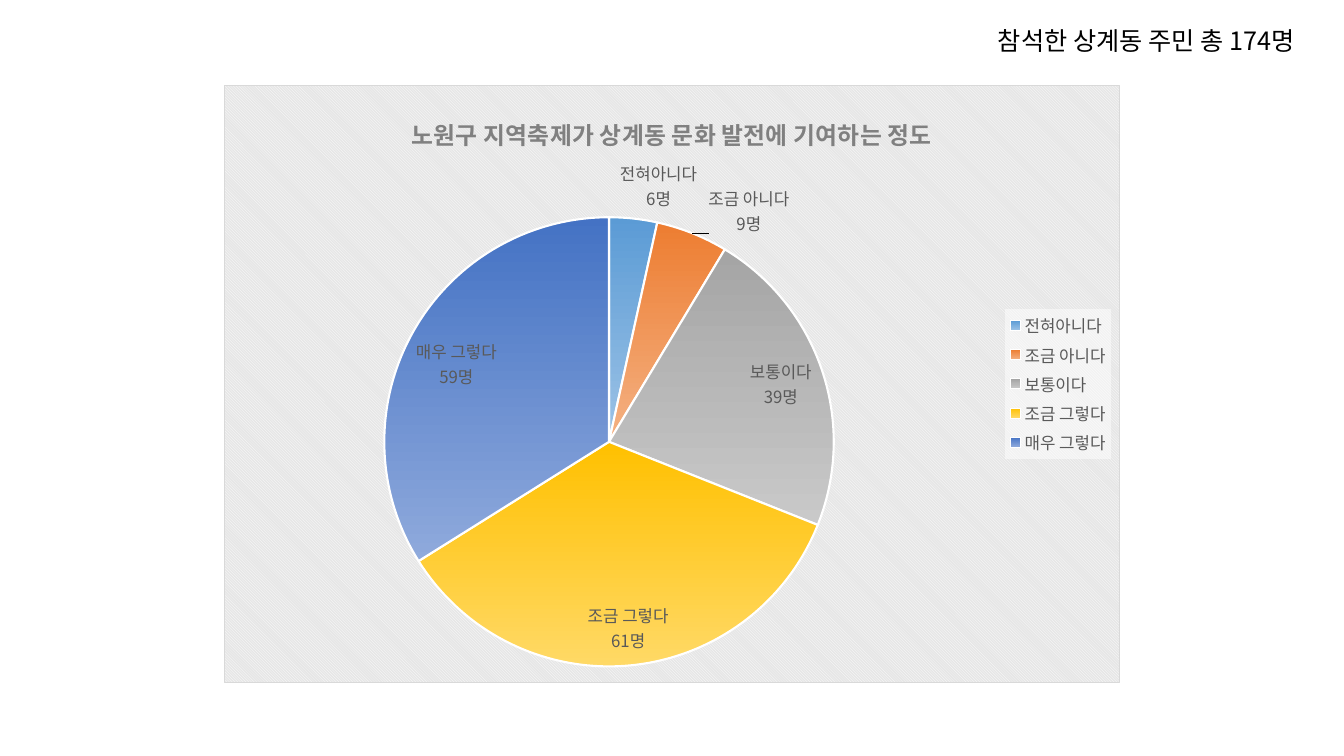
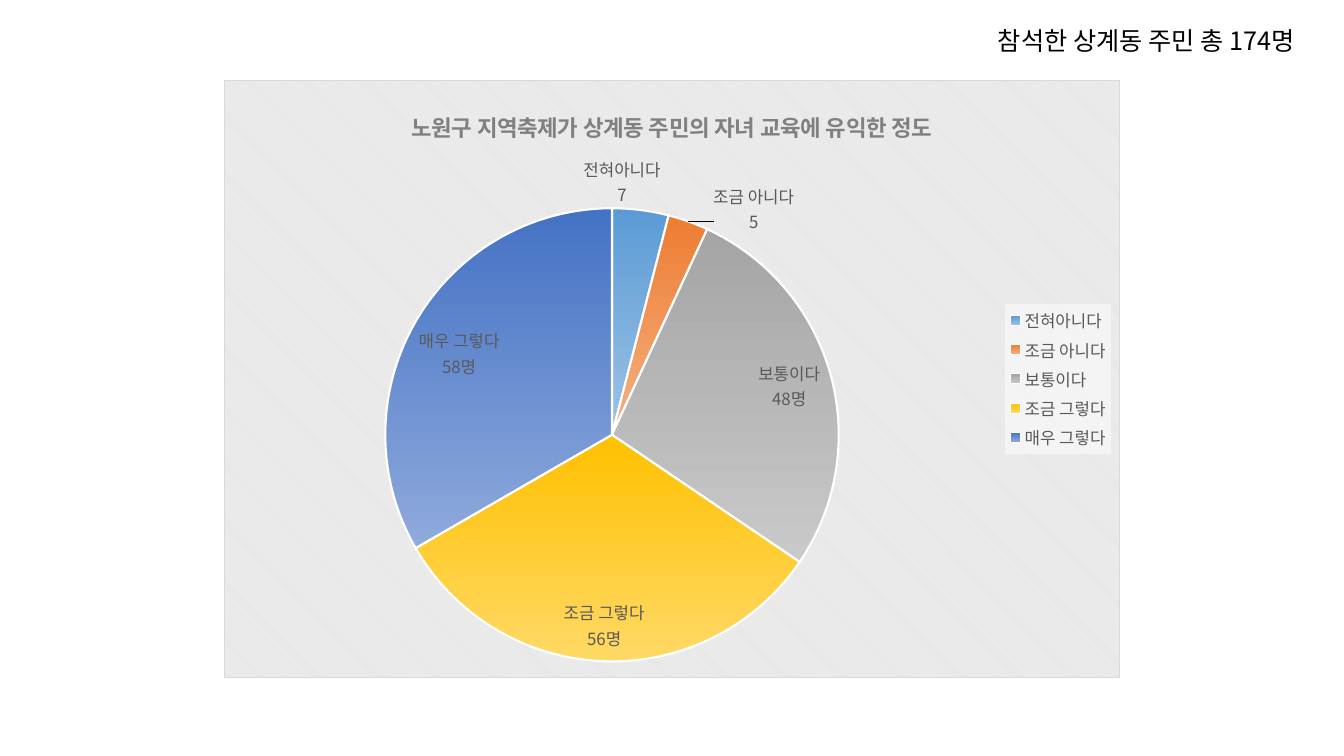
from copy import deepcopy

from pptx import Presentation
from pptx.chart.data import CategoryChartData
from pptx.dml.color import RGBColor
from pptx.enum.chart import XL_CHART_TYPE, XL_LABEL_POSITION, XL_LEGEND_POSITION
from pptx.enum.text import MSO_AUTO_SIZE
from pptx.oxml import parse_xml
from pptx.oxml.ns import nsdecls, qn
from pptx.util import Emu, Pt

ANSWERS = ["전혀아니다", "조금 아니다", "보통이다", "조금 그렇다", "매우 그렇다"]
SURVEYS = [
    {
        "title": "노원구 지역축제가 상계동 문화 발전에 기여하는 정도",
        "title_size": 17,
        "top": 85,
        "counts": [6, 9, 39, 61, 59],
        "number_format": '0"명"',
        "pie": (160, 132, 450, 450),
        "label_shifts": [(-14, -2), (14, 8)],
    },
    {
        "title": "노원구 지역축제가 상계동 주민의 자녀 교육에 유익한 정도",
        "title_size": 16,
        "top": 80,
        "counts": [7, 5, 48, 56, 58],
        "number_format": '[<10]0;0"명"',
        "pie": (161, 128, 454, 454),
        "label_shifts": [(-58, 3), (23, 18)],
    },
]


def px(length):
    return Emu(round(length * 914400 / 100.8))


def color(value):
    return RGBColor.from_string(value)


class Deck:
    font_name = "Noto Sans CJK KR"
    black = "000000"
    white = "FFFFFF"
    label_color = "595959"
    title_color = "808080"
    panel_color = "E6E6E6"
    border_color = "D9D9D9"
    gradients = [
        ("5B9BD5", "9DC3E6"),
        ("ED7D31", "F4B183"),
        ("A5A5A5", "C9C9C9"),
        ("FFC000", "FFD966"),
        ("4472C4", "8FAADC"),
    ]
    chart_width = 896
    chart_height = 598

    def __init__(self):
        self.presentation = Presentation()
        self.presentation.slide_width = px(1344)
        self.presentation.slide_height = px(756)
        self.slide = None

    def add_slide(self):
        self.slide = self.presentation.slides.add_slide(self.presentation.slide_layouts[6])

    def style_font(self, font, size, value, bold=False):
        font.name = self.font_name
        font.size = Pt(size)
        font.bold = bold
        font.color.rgb = color(value)

    def set_east_asian_font(self, element):
        for latin in list(element.iter(qn("a:latin"))):
            latin.addnext(parse_xml(f'<a:ea {nsdecls("a")} typeface="{self.font_name}"/>'))

    def add_text(self, text, left, top, width, height, size):
        shape = self.slide.shapes.add_textbox(px(left), px(top), px(width), px(height))
        frame = shape.text_frame
        frame.word_wrap = False
        frame.auto_size = MSO_AUTO_SIZE.SHAPE_TO_FIT_TEXT
        frame.text = text
        self.style_font(frame.paragraphs[0].runs[0].font, size, self.black)
        self.set_east_asian_font(frame.paragraphs[0].runs[0].font._element)

    def layout(self, x, y, width=None, height=None, absolute=True, inner=False):
        target = '<c:layoutTarget val="inner"/>' if inner else ""
        modes = '<c:xMode val="edge"/><c:yMode val="edge"/>' if absolute else ""
        sides = [
            ("x", x, self.chart_width),
            ("y", y, self.chart_height),
            ("w", width, self.chart_width),
            ("h", height, self.chart_height),
        ]
        values = "".join(
            f'<c:{tag} val="{length / whole:.4f}"/>'
            for tag, length, whole in sides
            if length is not None
        )
        return parse_xml(
            f'<c:layout {nsdecls("c")}><c:manualLayout>{target}{modes}{values}'
            "</c:manualLayout></c:layout>"
        )

    def place(self, parent, index, layout):
        old_layout = parent.find(qn("c:layout"))
        if old_layout is not None:
            parent.remove(old_layout)
        parent.insert(index, layout)

    def add_pie(self, categories, counts, title, title_size, top, number_format, pie, label_shifts):
        data = CategoryChartData()
        data.categories = categories
        data.add_series("Series 1", counts)
        chart = self.slide.shapes.add_chart(
            XL_CHART_TYPE.PIE, px(224), px(top), px(self.chart_width), px(self.chart_height), data
        ).chart
        self.style_font(chart.font, 10, self.black)
        chart.plots[0].vary_by_categories = True
        self.add_title(chart, title, title_size)
        self.add_legend(chart)
        self.color_slices(chart)
        self.add_labels(chart, number_format, label_shifts)
        self.place(chart.element.find(".//" + qn("c:plotArea")), 0, self.layout(*pie, inner=True))
        self.fill_panel(chart)
        self.set_east_asian_font(chart.element)

    def add_title(self, chart, title, size):
        chart.has_title = True
        frame = chart.chart_title.text_frame
        frame.text = title
        self.style_font(frame.paragraphs[0].runs[0].font, size, self.title_color, bold=True)
        self.place(chart.element.find(".//" + qn("c:title")), 1, self.layout(183, 24))

    def add_legend(self, chart):
        chart.has_legend = True
        legend = chart.legend
        legend.position = XL_LEGEND_POSITION.RIGHT
        legend.include_in_layout = False
        self.style_font(legend.font, 12, self.label_color)
        background = parse_xml(
            f'<c:spPr {nsdecls("c", "a")}><a:solidFill><a:srgbClr val="{self.white}">'
            '<a:alpha val="50000"/></a:srgbClr></a:solidFill></c:spPr>'
        )
        chart.element.find(".//" + qn("c:legend")).find(qn("c:txPr")).addprevious(background)

    def color_slices(self, chart):
        series = chart.plots[0].series[0]
        for index, gradient in enumerate(self.gradients):
            slice_format = series.points[index].format
            slice_format.fill.gradient()
            slice_format.fill.gradient_angle = 270
            for stop, value in zip(slice_format.fill.gradient_stops, gradient):
                stop.color.rgb = color(value)
            slice_format.line.color.rgb = color(self.white)
            slice_format.line.width = Pt(1.5)

    def add_labels(self, chart, number_format, shifts):
        labels = chart.plots[0].series[0].data_labels
        labels.show_value = True
        labels.show_category_name = True
        labels.number_format = number_format
        labels.number_format_is_linked = False
        labels.position = XL_LABEL_POSITION.BEST_FIT
        self.style_font(labels.font, 12, self.label_color)
        element = chart.element.find(".//" + qn("c:dLbls"))
        separator = parse_xml(f'<c:separator {nsdecls("c")}>\n</c:separator>')
        element.find(qn("c:showBubbleSize")).addnext(separator)
        settings = [child for child in element if child.tag != qn("c:showLeaderLines")]
        for index, (x, y) in enumerate(shifts):
            label = parse_xml(f'<c:dLbl {nsdecls("c")}><c:idx val="{index}"/></c:dLbl>')
            label.append(self.layout(x, y, absolute=False))
            label.extend([deepcopy(setting) for setting in settings])
            element.insert(index, label)

    def fill_panel(self, chart):
        panel = parse_xml(
            f'<c:spPr {nsdecls("c", "a")}><a:pattFill prst="dkDnDiag">'
            f'<a:fgClr><a:srgbClr val="{self.white}"/></a:fgClr>'
            f'<a:bgClr><a:srgbClr val="{self.panel_color}"/></a:bgClr></a:pattFill>'
            f'<a:ln w="{Pt(0.75)}"><a:solidFill><a:srgbClr val="{self.border_color}"/>'
            "</a:solidFill></a:ln></c:spPr>"
        )
        chart.element.find(qn("c:chart")).addnext(panel)


def main():
    deck = Deck()
    for survey in SURVEYS:
        deck.add_slide()
        deck.add_pie(ANSWERS, **survey)
        deck.add_text("참석한 상계동 주민 총 174명", 988, 20, 353, 40, 18)
    deck.presentation.save("out.pptx")


if __name__ == "__main__":
    main()
